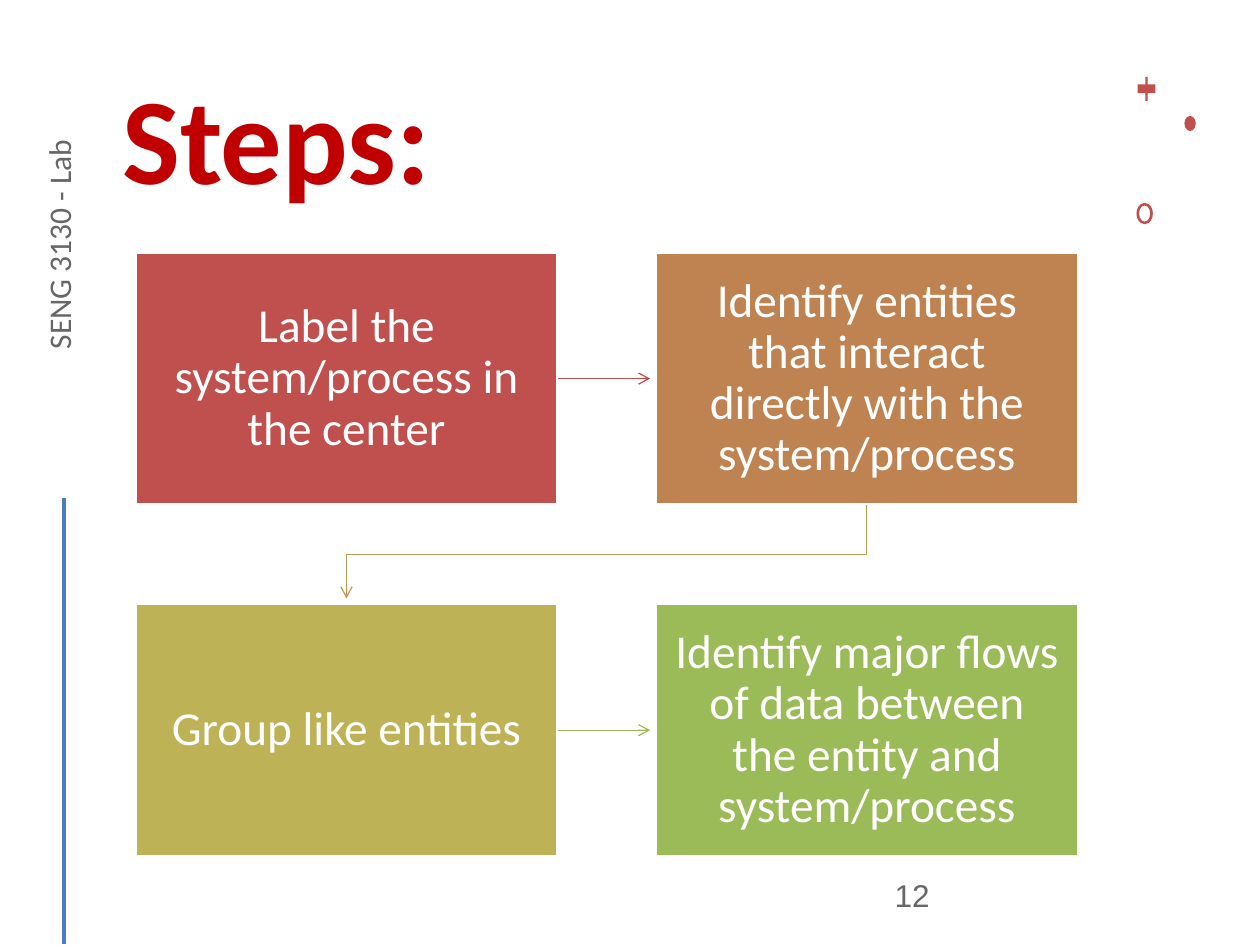
from lxml import etree
from pptx import Presentation
from pptx.dml.color import RGBColor
from pptx.enum.shapes import MSO_CONNECTOR, MSO_SHAPE
from pptx.enum.text import MSO_ANCHOR, MSO_AUTO_SIZE, PP_ALIGN
from pptx.oxml.ns import qn
from pptx.util import Inches, Pt

RECTANGLE, OVAL = MSO_SHAPE.RECTANGLE, MSO_SHAPE.OVAL
CROSS, DONUT = MSO_SHAPE.CROSS, MSO_SHAPE.DONUT
STRAIGHT = MSO_CONNECTOR.STRAIGHT
LEFT, CENTER = PP_ALIGN.LEFT, PP_ALIGN.CENTER
TOP, MIDDLE = MSO_ANCHOR.TOP, MSO_ANCHOR.MIDDLE
NO_AUTOFIT = MSO_AUTO_SIZE.NONE

RED, BLUE, GRAY, WHITE = "C0504D", "4A7EBB", "666666", "FFFFFF"
BOX_WIDTH, BOX_HEIGHT = 3.36, 2.01
COLUMNS, ROWS = (1.07, 5.2), (2, 4.79)
ARROW_GAP = 0.04
STEPS = [
    ("Label the system/process in the center", RED),
    ("Identify entities that interact directly with the system/process", "BE8351"),
    ("Group like entities", "BDB255"),
    ("Identify major flows of data between the entity and system/process", "9BBB59"),
]


def color(value):
    return RGBColor.from_string(value)


def write_text(shape, text, size, text_color, font="Calibri", bold=False,
               align=LEFT, anchor=TOP, insets=(0, 0)):
    """Put one formatted run in a shape; insets are horizontal and vertical inches."""
    frame = shape.text_frame
    frame.word_wrap = True
    frame.auto_size = NO_AUTOFIT
    frame.vertical_anchor = anchor
    frame.margin_left = frame.margin_right = Inches(insets[0])
    frame.margin_top = frame.margin_bottom = Inches(insets[1])
    paragraph = frame.paragraphs[0]
    paragraph.alignment = align
    run = paragraph.add_run()
    run.text = text
    run.font.name = font
    run.font.size = Pt(size)
    run.font.bold = bold
    run.font.color.rgb = color(text_color)
    return paragraph


def add_title(slide, text):
    title = slide.shapes.title
    title.left, title.top = Inches(0.97), Inches(0.42)
    title.width, title.height = Inches(7.67), Inches(1.31)
    write_text(title, text, 70, "C00000", bold=True, anchor=MIDDLE)


def add_label(slide, text, left, top, width, **text_format):
    label = slide.shapes.add_textbox(
        Inches(left), Inches(top), Inches(width), Inches(0.4))
    write_text(label, text, 18, GRAY, **text_format)
    return label


def add_filled_shape(slide, kind, left, top, width, height, fill):
    shape = slide.shapes.add_shape(
        kind, Inches(left), Inches(top), Inches(width), Inches(height))
    shape.shadow.inherit = False
    shape.fill.solid()
    shape.fill.fore_color.rgb = color(fill)
    shape.line.fill.background()
    return shape


def add_step(slide, text, left, top, fill):
    box = add_filled_shape(slide, RECTANGLE, left, top, BOX_WIDTH, BOX_HEIGHT, fill)
    box.line.color.rgb = color(WHITE)
    box.line.width = Pt(2)
    paragraph = write_text(box, text, 27, WHITE, align=CENTER, anchor=MIDDLE,
                           insets=(0.16, 0.17))
    paragraph.line_spacing = 0.9


def style_line(shape, line_color, width, arrow=False):
    shape.line.color.rgb = color(line_color)
    shape.line.width = Pt(width)
    if arrow:
        line = shape.line._get_or_add_ln()
        etree.SubElement(line, qn("a:tailEnd"), type="arrow")


def add_line(slide, start, end, line_color, width, arrow=False):
    connector = slide.shapes.add_connector(
        STRAIGHT, *(Inches(value) for value in (*start, *end)))
    style_line(connector, line_color, width, arrow)
    etree.SubElement(connector._element.spPr, qn("a:effectLst"))


def add_elbow_arrow(slide, points, line_color):
    start, *rest = [(Inches(x), Inches(y)) for x, y in points]
    builder = slide.shapes.build_freeform(*start)
    builder.add_line_segments(rest, close=False)
    elbow = builder.convert_to_shape()
    elbow.shadow.inherit = False
    elbow.fill.background()
    style_line(elbow, line_color, 0.75, arrow=True)


def add_steps(slide):
    places = [(left, top) for top in ROWS for left in COLUMNS]
    for (text, fill), (left, top) in zip(STEPS, places):
        add_step(slide, text, left, top, fill)

    for top, line_color in zip(ROWS, (RED, "9BBB59")):
        middle = top + BOX_HEIGHT / 2
        add_line(slide, (COLUMNS[0] + BOX_WIDTH, middle),
                 (COLUMNS[1] - ARROW_GAP, middle), line_color, 0.75, arrow=True)

    left_center, right_center = (left + BOX_WIDTH / 2 for left in COLUMNS)
    bottom = ROWS[0] + BOX_HEIGHT
    turn = (bottom + ROWS[1]) / 2
    add_elbow_arrow(slide, [(right_center, bottom), (right_center, turn),
                            (left_center, turn),
                            (left_center, ROWS[1] - ARROW_GAP)], "BD9B53")


def add_ornaments(slide):
    plus = add_filled_shape(slide, CROSS, 9.03, 0.61, 0.14, 0.19, RED)
    plus.adjustments[0] = 0.43
    add_filled_shape(slide, OVAL, 9.4, 0.92, 0.09, 0.12, RED)
    ring = add_filled_shape(slide, DONUT, 9.02, 1.61, 0.13, 0.17, RED)
    ring.adjustments[0] = 0.16


def main():
    presentation = Presentation()
    presentation.slide_width, presentation.slide_height = Inches(10), Inches(7.5)
    slide = presentation.slides.add_slide(presentation.slide_layouts[5])
    add_title(slide, "Steps:")
    course = add_label(slide, "SENG 3130 - Lab", -0.94, 1.74, 2.91, align=CENTER)
    course.rotation = 270
    add_ornaments(slide)
    add_line(slide, (0.51, 3.95), (0.51, 7.49), BLUE, 2)
    add_label(slide, "12", 7.06, 6.95, 2.25, font="Arial", insets=(0.04, 0))
    add_steps(slide)
    presentation.save("out.pptx")


if __name__ == "__main__":
    main()
